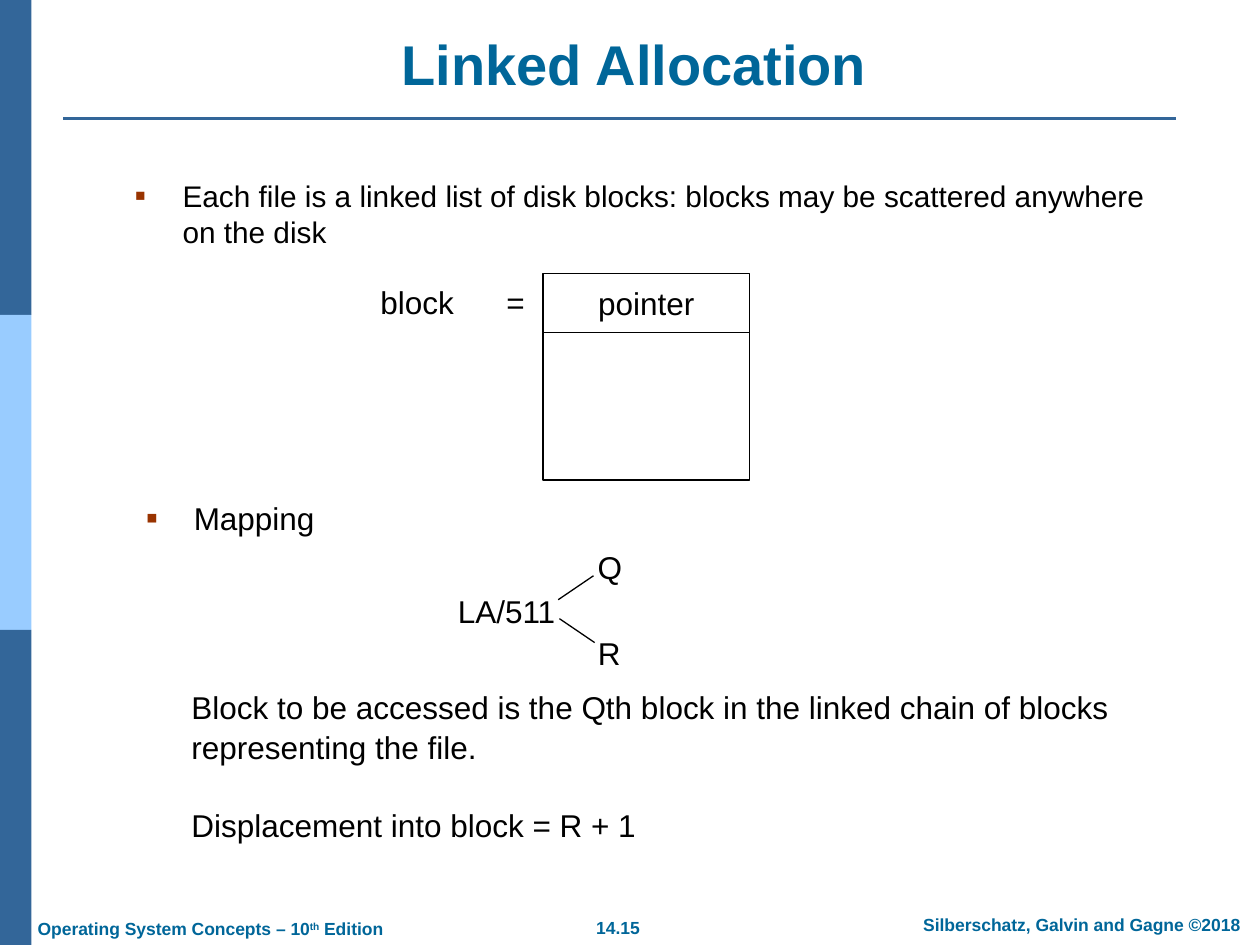
"""Build the Linked Allocation slide."""
from lxml.etree import SubElement
from pptx import Presentation
from pptx.dml.color import RGBColor as RGB
from pptx.enum.shapes import MSO_CONNECTOR as LINE, MSO_SHAPE as SHAPE
from pptx.enum.text import MSO_ANCHOR as ANCHOR, PP_ALIGN as ALIGN
from pptx.oxml.ns import qn
from pptx.util import Inches, Pt

COLORS = {"bar": "336699", "light": "99CCFF", "title": "006699",
          "bullet": "993300", "text": "000000", "paper": "FFFFFF"}
COLS, ROWS = 100, 75
BODY = {"size": Pt(18), "name": "Arial", "bold": False}
FOOT = {"size": Pt(10), "name": "Arial", "bold": True}
TITLE = {"size": Pt(32), "name": "Arial", "bold": True}

prs = Presentation()
prs.slide_width, prs.slide_height = Inches(10), Inches(7.5)
s = prs.slides.add_slide(prs.slide_layouts[5])


def grid(x, y, w, h):
    """Turn columns and rows into slide lengths."""
    col, row = prs.slide_width / COLS, prs.slide_height / ROWS
    return [round(x * col), round(y * row), round(w * col), round(h * row)]


def write(p, text, font, color="text", align=ALIGN.LEFT):
    """Add a formatted run to a paragraph."""
    p.alignment = align
    r = p.add_run()
    r.text = text
    for name, value in font.items():
        setattr(r.font, name, value)
    r.font.color.rgb = RGB.from_string(COLORS[color])
    return r


bars = [(0, 25 * i, 2.5, 25, fill, None) for i, fill in enumerate(("bar", "light", "bar"))]
blocks = [(43.1, 21.7, 16.4, 4.7, "paper", "pointer"), (43.1, 26.4, 16.4, 11.7, "paper", "")]
for *place, fill, label in bars + blocks:
    sp = s.shapes.add_shape(SHAPE.RECTANGLE, *grid(*place))
    sp.shadow.inherit = False
    sp.fill.solid()
    sp.fill.fore_color.rgb = RGB.from_string(COLORS[fill])
    if label is None:
        sp.line.fill.background()
    else:
        sp.line.color.rgb = RGB.from_string(COLORS["text"])
        sp.line.width = Pt(0.75)
    if label:
        sp.text_frame.vertical_anchor = ANCHOR.MIDDLE
        write(sp.text_frame.paragraphs[0], label, BODY, align=ALIGN.CENTER)

lines = [(5, 9.4, 93.3, 9.4, "bar", 1.5),
         (44.3, 47.6, 47.1, 45.7, "text", 0.75),
         (44.4, 49.1, 47.2, 51, "text", 0.75)]
for *ends, color, width in lines:
    line = s.shapes.add_connector(LINE.STRAIGHT, *grid(*ends))
    line.line.color.rgb = RGB.from_string(COLORS[color])
    line.line.width = Pt(width)
    SubElement(line._element.spPr, qn("a:effectLst"))

title = s.shapes.title
title.left, title.top, title.width, title.height = grid(7.2, 1.9, 86.3, 6.3)
title.text_frame.vertical_anchor = ANCHOR.BOTTOM
write(title.text_frame.paragraphs[0], "Linked Allocation", TITLE, "title", ALIGN.CENTER)

labels = [(46.2, 72.3, 5.7, 2.7, "14.15", FOOT, "title"),
          (71, 72, 29.7, 2.7, "Silberschatz, Galvin and Gagne ©2018", FOOT, "title"),
          (35.3, 46.5, 9.8, 4, "LA/511", BODY, "text"),
          (46.4, 43, 4, 4, "Q", BODY, "text"),
          (46.4, 49.8, 3.9, 4, "R", BODY, "text")]
for *place, text, font, color in labels:
    tf = s.shapes.add_textbox(*grid(*place)).text_frame
    tf.vertical_anchor = ANCHOR.MIDDLE
    write(tf.paragraphs[0], text, font, color, ALIGN.CENTER)

p = s.shapes.add_textbox(*grid(2, 72.4, 29.9, 2.7)).text_frame.paragraphs[0]
for text, baseline in (("Operating System Concepts – 10", 0), ("th", 30000), (" Edition", 0)):
    r = write(p, text, FOOT, "title")
    r._r.get_or_add_rPr().set("baseline", str(baseline))

tf = s.shapes.add_textbox(*grid(29.2, 22, 13.6, 4)).text_frame
tf.vertical_anchor = ANCHOR.MIDDLE
p = tf.paragraphs[0]
tabs = SubElement(p._p.get_or_add_pPr(), qn("a:tabLst"))
SubElement(tabs, qn("a:tab"), pos=str(Inches(1)), algn="l")
write(p, "block\t=", BODY)

bullets = [(9.7, 13.6, 82.9, 8.1, 17, "Each file is a linked list of disk blocks: "
            "blocks may be scattered anywhere on the disk"),
           (10.6, 39.1, 80.6, 5.8, 18, "Mapping")]
for *place, size, text in bullets:
    tf = s.shapes.add_textbox(*grid(*place)).text_frame
    tf.word_wrap = True
    p = tf.paragraphs[0]
    pPr = p._p.get_or_add_pPr()
    pPr.set("marL", str(Inches(0.38)))
    pPr.set("indent", str(-Inches(0.38)))
    SubElement(SubElement(pPr, qn("a:buClr")), qn("a:srgbClr"), val=COLORS["bullet"])
    SubElement(pPr, qn("a:buSzPct"), val="110000")
    SubElement(pPr, qn("a:buFont"), typeface="Arial")
    SubElement(pPr, qn("a:buChar"), char="▪")
    write(p, text, {**BODY, "size": Pt(size)})

tf = s.shapes.add_textbox(*grid(9.2, 54, 83.9, 17.9)).text_frame
tf.word_wrap = True
notes = ["Block to be accessed is the Qth block in the linked chain of blocks "
         "representing the file.", "Displacement into block = R + 1"]
for i, text in enumerate(notes):
    p = tf.add_paragraph() if i else tf.paragraphs[0]
    p._p.get_or_add_pPr().set("marL", str(Inches(0.5)))
    p.line_spacing = 1.05
    p.space_before = Pt(21.7 * i)
    write(p, text, BODY)

prs.save("out.pptx")
